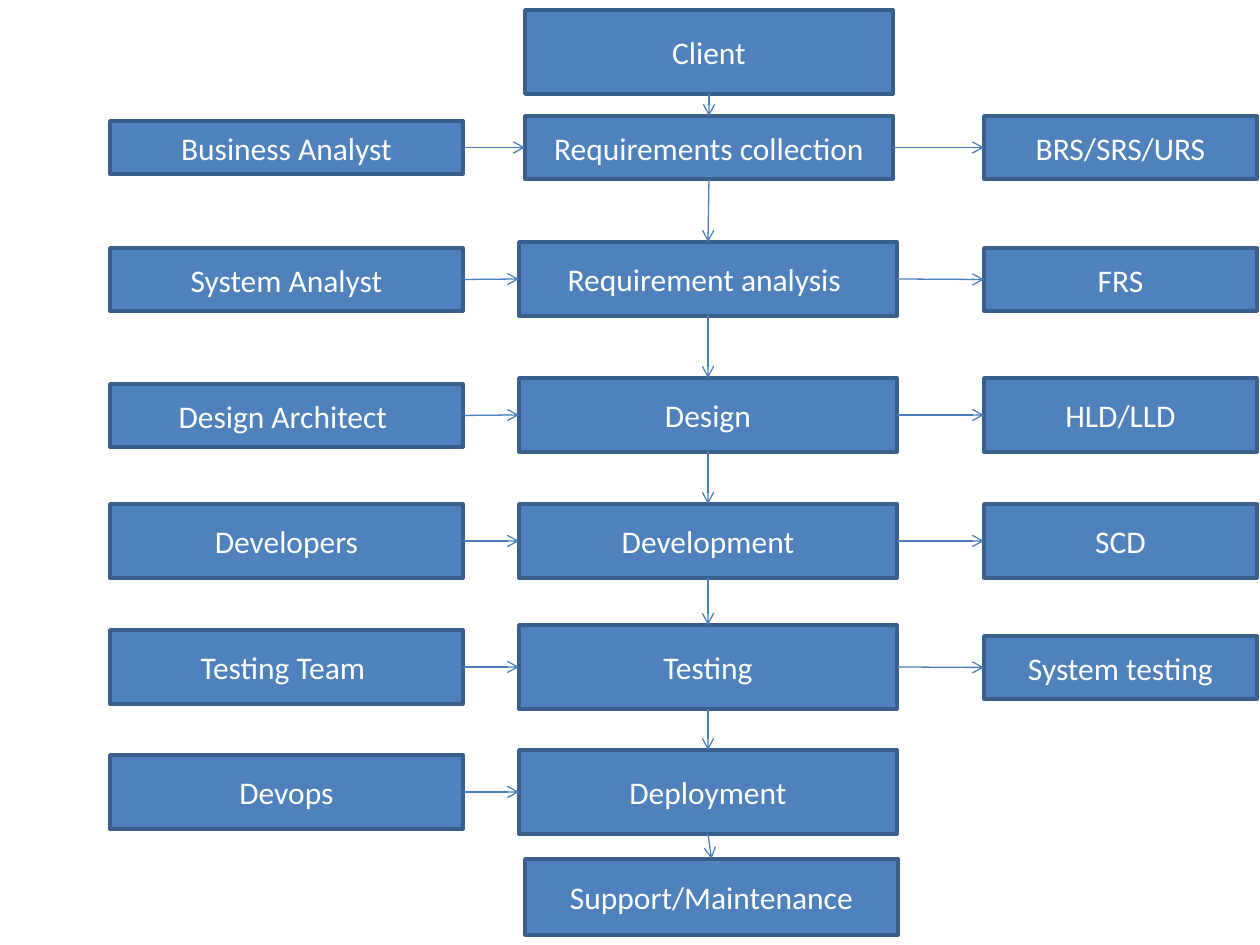
from dataclasses import dataclass
from itertools import pairwise

from lxml import etree
from pptx import Presentation
from pptx import util as u
from pptx.dml.color import RGBColor
from pptx.enum import shapes, text
from pptx.oxml.ns import qn

PX = u.Inches(1) / 126
TOP, LEFT, BOTTOM, RIGHT = range(4)  # connection sites of a rectangle


@dataclass(frozen=True)
class Theme:
    fill: str = "4F81BD"
    border: str = "3A5F8C"
    arrow: str = "4B7EBC"
    label: str = "FFFFFF"
    font: str = "Calibri"
    size: int = 18
    border_width: float = 2
    arrow_width: float = 0.75


def px(length):
    return u.Emu(round(length * PX))


def add_text(frame, words, *, font, size, color, align=text.PP_ALIGN.CENTER):
    frame.word_wrap = True
    frame.vertical_anchor = text.MSO_ANCHOR.MIDDLE
    para = frame.paragraphs[0]
    para.alignment = align
    span = para.add_run()
    span.text = words
    span.font.name = font
    span.font.size = u.Pt(size)
    span.font.color.rgb = RGBColor.from_string(color)


class Flowchart:
    def __init__(self, page, theme):
        self.page = page
        self.theme = theme

    def box(self, words, left, middle, width, height):
        """Add a labelled box centred vertically on middle."""
        theme = self.theme
        box = self.page.shapes.add_shape(
            shapes.MSO_SHAPE.RECTANGLE,
            px(left), px(middle - height // 2), px(width), px(height))
        box.shadow.inherit = False
        box.fill.solid()
        box.fill.fore_color.rgb = RGBColor.from_string(theme.fill)
        box.line.color.rgb = RGBColor.from_string(theme.border)
        box.line.width = u.Pt(theme.border_width)
        add_text(box.text_frame, words, font=theme.font, size=theme.size,
                 color=theme.label)
        return box

    def arrow(self, start, start_site, end, end_site):
        """Join two boxes with an arrow glued to both."""
        line = self.page.shapes.add_connector(
            shapes.MSO_CONNECTOR.STRAIGHT, 0, 0, 0, 0)
        line.begin_connect(start, start_site)
        line.end_connect(end, end_site)
        line.line.color.rgb = RGBColor.from_string(self.theme.arrow)
        line.line.width = u.Pt(self.theme.arrow_width)
        etree.SubElement(line.line._get_or_add_ln(), qn("a:tailEnd"), type="arrow")
        etree.SubElement(line._element.spPr, qn("a:effectLst"))


# Columns: left, width
ROLE = (110, 353)
OUTPUT = (984, 273)
WIDE, NARROW, LAST = (519, 378), (525, 368), (525, 373)

# Stages: middle, (name, column, height), (role, height), (output, height)
STAGES = [
    (52, ("Client", NARROW, 84), None, None),
    (147, ("Requirements collection", NARROW, 63),
     ("Business Analyst", 53), ("BRS/SRS/URS", 63)),
    (279, ("Requirement analysis ", WIDE, 74),
     ("System Analyst", 63), ("FRS", 63)),
    (415, ("Design", WIDE, 74), ("Design Architect ", 63), ("HLD/LLD", 74)),
    (541, ("Development", WIDE, 74), ("Developers", 74), ("SCD", 74)),
    (667, ("Testing", WIDE, 84), ("Testing Team ", 74), ("System testing", 63)),
    (792, ("Deployment", WIDE, 84), ("Devops", 74), None),
    (897, ("Support/Maintenance", LAST, 76), None, None),
]


def main():
    deck = Presentation()
    deck.slide_width, deck.slide_height = px(1260), px(945)
    chart = Flowchart(deck.slides.add_slide(deck.slide_layouts[6]), Theme())

    # Stages with the role that feeds each and the output it gives
    steps = []
    for middle, (name, (left, width), height), role, output in STAGES:
        step = chart.box(name, left, middle, width, height)
        steps.append(step)
        if role:
            words, tall = role
            source = chart.box(words, ROLE[0], middle, ROLE[1], tall)
            chart.arrow(source, RIGHT, step, LEFT)
        if output:
            words, tall = output
            result = chart.box(words, OUTPUT[0], middle, OUTPUT[1], tall)
            chart.arrow(step, RIGHT, result, LEFT)

    # Flow from each stage to the next
    for upper, lower in pairwise(steps):
        chart.arrow(upper, BOTTOM, lower, TOP)

    deck.save("out.pptx")


if __name__ == "__main__":
    main()
